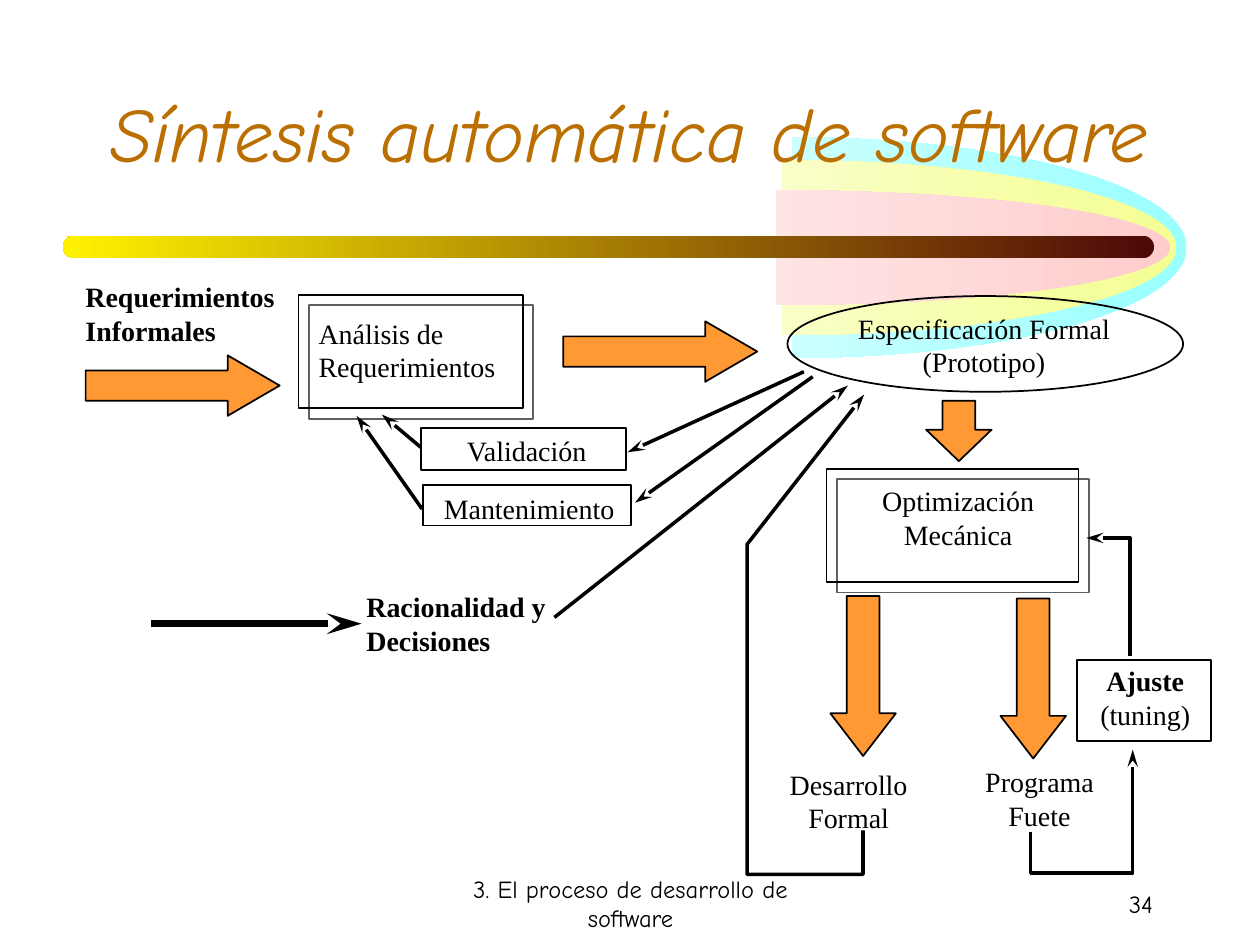
from dataclasses import dataclass

from lxml import etree
from pptx import Presentation
from pptx.dml.color import RGBColor
from pptx.enum.shapes import MSO_CONNECTOR, MSO_SHAPE
from pptx.enum.text import MSO_ANCHOR, MSO_AUTO_SIZE, PP_ALIGN
from pptx.oxml.ns import qn
from pptx.util import Inches, Pt

BLACK = RGBColor(0, 0, 0)
WHITE = RGBColor(255, 255, 255)
BROWN = RGBColor(0xBA, 0x6F, 0x00)
ORANGE = RGBColor(0xFF, 0x99, 0x33)
CYAN = RGBColor(0x99, 0xFF, 0xFF)
LEMON = RGBColor(0xF4, 0xFE, 0x92)
PINK = RGBColor(0xFF, 0xCC, 0xCC)
MAROON = RGBColor(0x4D, 0x08, 0x08)
YELLOW = RGBColor(0xFF, 0xF2, 0x00)

ARC, BAR = MSO_SHAPE.ARC, MSO_SHAPE.ROUNDED_RECTANGLE
RECT, OVAL = MSO_SHAPE.RECTANGLE, MSO_SHAPE.OVAL
EAST, SOUTH = MSO_SHAPE.RIGHT_ARROW, MSO_SHAPE.DOWN_ARROW
STRAIGHT = MSO_CONNECTOR.STRAIGHT
LEFT, CENTER, RIGHT = PP_ALIGN.LEFT, PP_ALIGN.CENTER, PP_ALIGN.RIGHT
TOP, MIDDLE = MSO_ANCHOR.TOP, MSO_ANCHOR.MIDDLE
SERIF, COMIC = "Times New Roman", "Comic Neue"

# The slide is a grid of 100 columns by 75 rows.
WIDTH, HEIGHT = Inches(10), Inches(7.5)
COL, ROW = WIDTH / 100, HEIGHT / 75
QUARTER = 54.0  # 90 degrees as an arc adjustment


@dataclass
class Block:
    """An outline; the box is left, top, width, height in grid cells."""
    kind: MSO_SHAPE
    box: tuple
    fill: RGBColor | None = None
    adjust: tuple = ()
    shade: bool = False


@dataclass
class Fade:
    """A gradient shape running from its right colour to its left one."""
    kind: MSO_SHAPE
    box: tuple
    right: RGBColor
    left: RGBColor
    adjust: tuple


@dataclass
class Label:
    text: str
    box: tuple
    align: PP_ALIGN = CENTER
    bold: bool = False
    font: str = SERIF
    size: int = 16
    anchor: MSO_ANCHOR = TOP
    tail: str = ""  # text that follows in regular weight


@dataclass
class Route:
    """An arrow through (column, row) points."""
    points: tuple
    weight: float = 2


HALF = (3 * QUARTER, QUARTER)
FADES = [
    Fade(ARC, (31.6, 10.9, 62.6, 17.5), CYAN, WHITE, HALF),
    Fade(ARC, (30.8, 12.7, 62.6, 13.9), LEMON, WHITE, HALF),
    Fade(ARC, (30.3, 15.1, 62.6, 9.1), PINK, WHITE, HALF),
    Fade(BAR, (5, 18.7, 86.6, 1.8), MAROON, YELLOW, (0.5,)),
]
BLOCKS = [
    Block(RECT, (23.7, 23.4, 17.8, 9), shade=True),
    Block(OVAL, (62.5, 23.5, 31.4, 7.6)),
    Block(RECT, (33.4, 34, 16.3, 3.3)),
    Block(RECT, (33.6, 38.5, 16.5, 3.2)),
    Block(RECT, (65.6, 37.2, 20, 9), shade=True),
    Block(RECT, (85.5, 52.4, 10.6, 6.4)),
    Block(EAST, (6.8, 28.2, 15.4, 4.8), ORANGE, (0.5, 0.86)),
    Block(EAST, (44.7, 25.5, 15.4, 4.8), ORANGE, (0.5, 0.86)),
    Block(SOUTH, (73.5, 31.8, 5.2, 4.8), ORANGE, (0.5, 0.52)),
    Block(SOUTH, (65.9, 47.3, 5.2, 12.7), ORANGE, (0.5, 0.65)),
    Block(SOUTH, (79.4, 47.5, 5.2, 12.7), ORANGE, (0.5, 0.65)),
]
LABELS = [
    Label("Requerimientos Informales", (5.8, 21.7, 19.1, 6.3), LEFT, True),
    Label("Análisis de Requerimientos", (24.3, 24.6, 22.8, 6.3), LEFT),
    Label("Especificación Formal (Prototipo)", (66.8, 24.2, 22.6, 6.3)),
    Label("Validación", (30.3, 33.9, 23, 3.7)),
    Label("Mantenimiento", (30.5, 38.5, 23, 3.7)),
    Label("Optimización Mecánica", (66.2, 37.9, 19.7, 6.3)),
    Label("Desarrollo Formal", (60.1, 60.4, 14.5, 6.3)),
    Label("Ajuste", (85.6, 52.2, 10.6, 6.3), bold=True, tail=" (tuning)"),
    Label("Programa Fuete", (76.1, 60.2, 12.8, 6.3)),
    Label("Racionalidad y Decisiones", (28.1, 46.3, 17.4, 6.3), LEFT, True),
    Label("3. El proceso de desarrollo de software", (34.2, 69.2, 31.7, 5),
          font=COMIC, size=14, anchor=MIDDLE),
    Label("34", (71.7, 69.2, 20.8, 5), RIGHT, font=COMIC, size=14, anchor=MIDDLE),
]
ROUTES = [
    Route(((81.8, 66), (81.8, 69.3), (89.9, 69.3), (89.9, 59.5))),
    Route(((89.7, 52.1), (89.7, 42.7), (86.2, 42.7))),
    Route(((68.5, 65.9), (68.5, 69.4), (59.3, 69.4), (59.3, 43.2), (68.6, 31.3))),
    Route(((63.8, 29.5), (49.8, 35.9))),
    Route(((64.5, 29.9), (50.4, 39.9))),
    Route(((33.4, 35.5), (30.3, 32.9))),
    Route(((33.5, 40.4), (28.3, 33))),
    Route(((44, 49), (67.3, 30.6))),
    Route(((12, 49.5), (28.7, 49.5)), 4),
]


def place(box: tuple) -> tuple:
    """Turn grid cells into slide lengths."""
    return tuple(round(n * unit) for n, unit in zip(box, (COL, ROW, COL, ROW)))


def add_shape(slide, item: Block | Fade):
    shape = slide.shapes.add_shape(item.kind, *place(item.box))
    shape.shadow.inherit = False
    for i, value in enumerate(item.adjust):
        shape.adjustments[i] = value
    return shape


def draw_fade(slide, fade: Fade) -> None:
    shape = add_shape(slide, fade)
    shape.line.fill.background()
    shape.fill.gradient()
    shape.fill.gradient_angle = 180
    for stop, color in zip(shape.fill.gradient_stops, (fade.right, fade.left)):
        stop.color.rgb = color


def ink(line, weight: float) -> None:
    line.color.rgb = BLACK
    line.width = Pt(weight)


def draw_block(slide, block: Block) -> None:
    shape = add_shape(slide, block)
    ink(shape.line, 1)
    if block.fill is None:
        shape.fill.background()
    else:
        shape.fill.solid()
        shape.fill.fore_color.rgb = block.fill
    if block.shade:
        effects = shape.element.spPr.find(qn("a:effectLst"))
        outer = etree.SubElement(effects, qn("a:outerShdw"), dist=str(Pt(8.5)),
                                 dir="2700000", algn="ctr", rotWithShape="0")
        etree.SubElement(outer, qn("a:srgbClr"), val="5F5F5F")


def draw_label(slide, label: Label) -> None:
    frame = slide.shapes.add_textbox(*place(label.box)).text_frame
    frame.word_wrap = True
    frame.vertical_anchor = label.anchor
    para = frame.paragraphs[0]
    para.alignment = label.align
    font = para.font
    font.name, font.size, font.bold = label.font, Pt(label.size), label.bold
    font.color.rgb = BLACK
    para.add_run().text = label.text
    if label.tail:
        run = para.add_run()
        run.text = label.tail
        run.font.bold = False


def draw_route(slide, route: Route) -> None:
    start, *rest = [place(point) for point in route.points]
    if len(rest) == 1:
        shape = slide.shapes.add_connector(STRAIGHT, *start, *rest[0])
    else:
        pen = slide.shapes.build_freeform(*start)
        pen.add_line_segments(rest, close=False)
        shape = pen.convert_to_shape()
        shape.fill.background()
    ink(shape.line, route.weight)
    props = shape.element.spPr
    etree.SubElement(props.find(qn("a:ln")), qn("a:tailEnd"),
                     type="stealth", w="med", len="lg")
    etree.SubElement(props, qn("a:effectLst"))


def set_title(slide) -> None:
    title = slide.shapes.title
    title.left, title.top, title.width, title.height = place((7.5, 4.2, 85, 12.5))
    title.element.getparent().append(title.element)  # in front of the fans
    frame = title.text_frame
    frame.text = "Síntesis automática de software"
    frame.auto_size = MSO_AUTO_SIZE.NONE
    frame.vertical_anchor = MIDDLE
    para = frame.paragraphs[0]
    para.alignment = CENTER
    font = para.font
    font.name, font.size, font.italic = COMIC, Pt(44), True
    font.color.rgb = BROWN


def main() -> None:
    deck = Presentation()
    deck.slide_width, deck.slide_height = WIDTH, HEIGHT
    slide = deck.slides.add_slide(deck.slide_layouts[5])
    for fade in FADES:
        draw_fade(slide, fade)
    set_title(slide)
    for draw, items in ((draw_block, BLOCKS), (draw_label, LABELS), (draw_route, ROUTES)):
        for item in items:
            draw(slide, item)
    deck.save("out.pptx")


if __name__ == "__main__":
    main()
